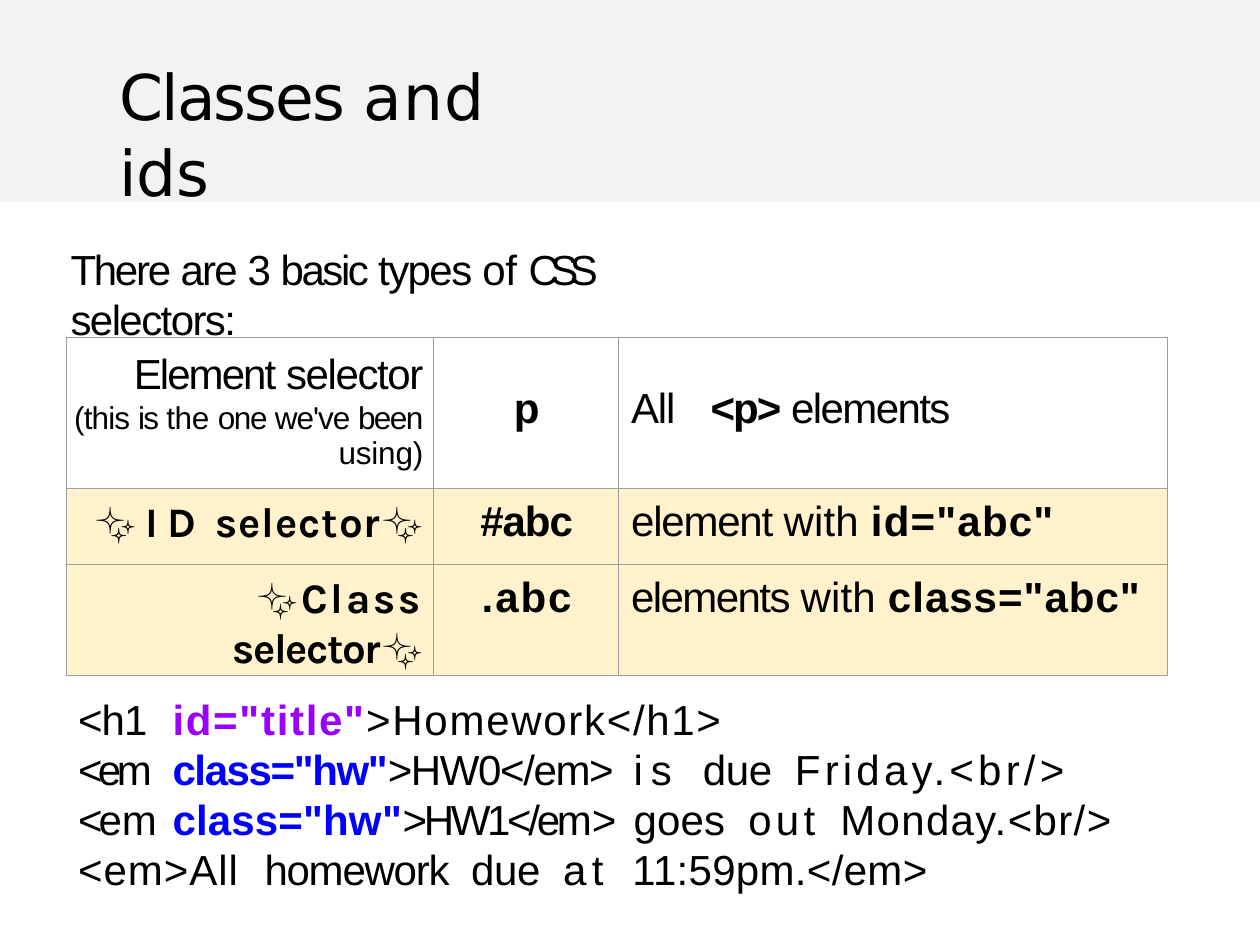
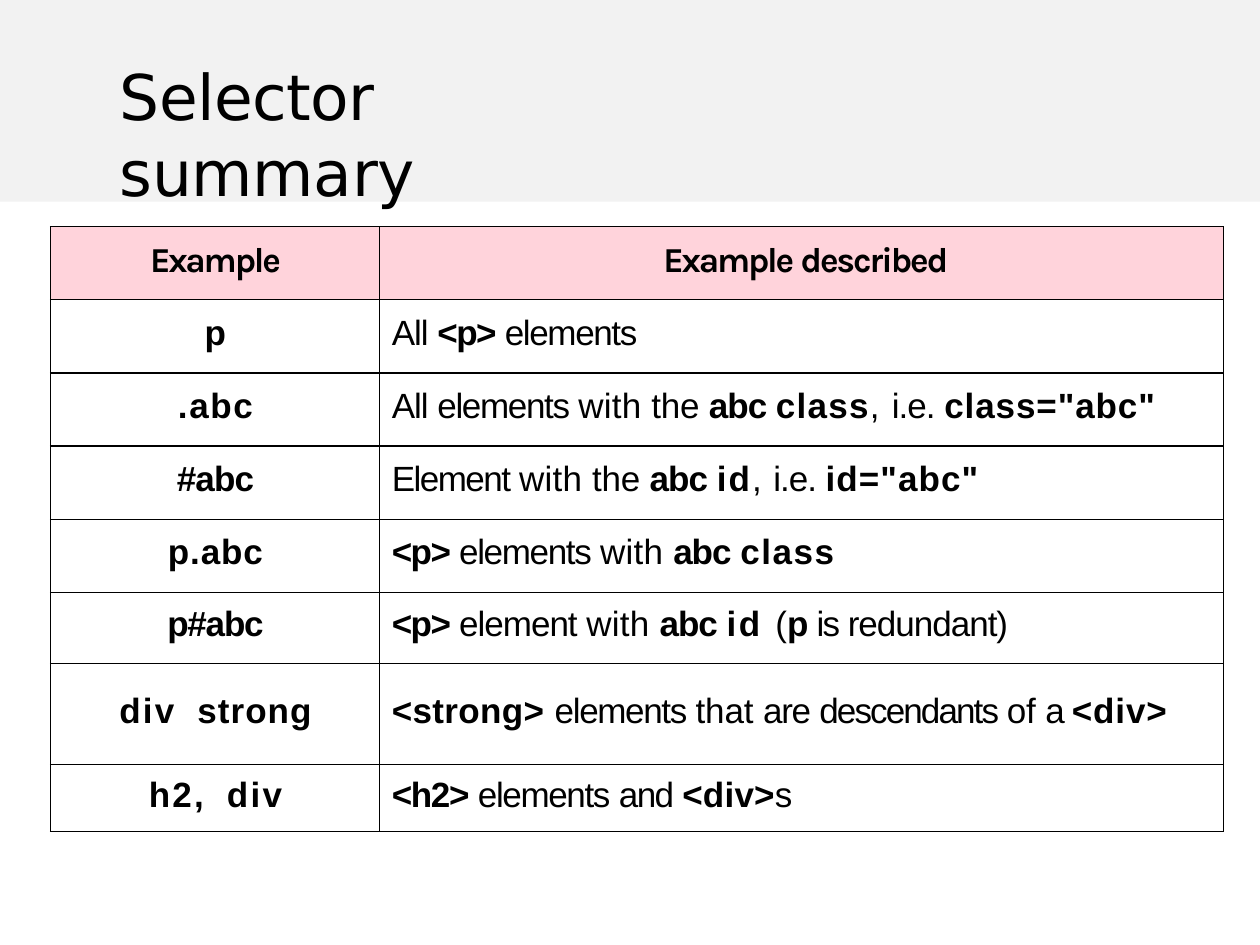
from lxml import etree
from pptx import Presentation
from pptx import util as u
from pptx.dml import color
from pptx.enum import shapes, text
from pptx.oxml import ns

HEX = {"ink": "000000", "band": "F2F2F2", "grid": "9E9E9E", "cream": "FFF2CC",
       "pink": "FFC1CC", "purple": "9900FF", "blue": "0000FF"}
HEAD, BODY, LABEL = "DejaVu Sans", "Arial", "Karla"
LEFT, MID, RIGHT = text.PP_ALIGN.LEFT, text.PP_ALIGN.CENTER, text.PP_ALIGN.RIGHT


def rgb(name):
    return color.RGBColor.from_string(HEX[name])


def sub(parent, tag, **attrs):
    return etree.SubElement(parent, ns.qn(tag), attrs)


def para(runs, size=24, face=BODY, align=LEFT, ind=0.01, lead=None, tabs=()):
    """Describe one paragraph; runs are (text, spacing, extras), * marks bold."""
    return dict(runs=runs, size=size, face=face, align=align, ind=ind,
                lead=lead, tabs=tabs)


def write(frame, paras):
    frame.word_wrap = True
    for i, item in enumerate(paras):
        par = frame.add_paragraph() if i else frame.paragraphs[0]
        par.alignment = item["align"]
        if item["lead"]:
            par.line_spacing = u.Pt(item["lead"])
        props = par._p.get_or_add_pPr()
        props.set("marL", str(u.Inches(item["ind"])))
        if item["align"] == RIGHT:
            props.set("marR", str(u.Inches(0.08)))
        if item["tabs"]:
            stops = sub(props, "a:tabLst")
            for pos in item["tabs"]:
                sub(stops, "a:tab", pos=str(u.Inches(pos)), algn="l")
        par.font.size = u.Pt(item["size"])
        par.font.name = item["face"]
        par.font.color.rgb = rgb("ink")
        for words, space, *more in item["runs"]:
            look = more[0] if more else {}
            run = par.add_run()
            run.text = words.removeprefix("*")
            run.font.bold = words.startswith("*")
            if "face" in look:
                run.font.name = look["face"]
            if "ink" in look:
                run.font.color.rgb = rgb(look["ink"])
            run._r.get_or_add_rPr().set("spc", str(round(space * 100)))


def inset(item, top):
    item.margin_left = item.margin_right = item.margin_bottom = 0
    item.margin_top = u.Inches(top)


def label(slide, box, paras):
    frame = slide.shapes.add_textbox(*map(u.Inches, box)).text_frame
    inset(frame, 0.01)
    write(frame, paras)


def header(slide, width, runs):
    band = slide.shapes.add_shape(shapes.MSO_SHAPE.RECTANGLE, 0, 0,
                                  u.Inches(10), u.Inches(1.6))
    band.shadow.inherit = False
    band.fill.solid()
    band.fill.fore_color.rgb = rgb("band")
    band.line.fill.background()
    label(slide, (0.94, 0.45, width, 0.63), [para(runs, 36, HEAD)])


def style(cell, top, edge, fill=None, alpha=None):
    inset(cell, top)
    props = cell._tc.get_or_add_tcPr()
    for side in "LRTB":
        line = sub(props, f"a:ln{side}", w=str(u.Pt(0.75)))
        sub(sub(line, "a:solidFill"), "a:srgbClr", val=HEX[edge])
    if not fill:
        cell.fill.background()
        return
    cell.fill.solid()
    cell.fill.fore_color.rgb = rgb(fill)
    if alpha:
        sub(props.find(".//" + ns.qn("a:srgbClr") + "[@val='" + HEX[fill] + "']"),
            "a:alpha", val=str(alpha * 1000))


def grid(slide, left, top, cols, rows):
    """Add a plain table with the given column widths and row heights."""
    box = map(u.Inches, (left, top, sum(cols), sum(rows)))
    table = slide.shapes.add_table(len(rows), len(cols), *box).table
    table.first_row = table.horz_banding = False
    for col, width in zip(table.columns, cols):
        col.width = u.Inches(width)
    for row, high in zip(table.rows, rows):
        row.height = u.Inches(high)
    return table


def kinds(slide, left, top):
    """Table of the three selector types."""
    star = dict(face=HEAD)
    first = [
        para([("Element ", -1.1), ("selector", -0.8)], align=RIGHT, lead=28.8),
        para([("(this ", -0.5), ("is ", -0.9), ("the ", -0.2), ("one ", -0.8),
              ("we've ", -0.6), ("been", -0.9)], 18, align=RIGHT, lead=21.6),
        para([("using)", -0.1)], 18, align=RIGHT)]
    rows = [
        (first, ("*p", 0), [("All\t", -0.7), ("*<p> ", -1.1), ("elements", -0.9)]),
        ([para([("✨", 5.1, star), ("*ID", 5.1), ("* ", 0), ("*selector", 0.5),
                ("✨", 0.5, star)], face=LABEL, align=RIGHT)],
         ("*#abc", -0.6),
         [("element ", -0.7), ("with ", 0.1), ('*id="abc"', 0.7)]),
        ([para([("✨", 1.6, star), ("*Class ", 1.6), ("*selector", -0.8),
                ("✨", -0.8, star)], face=LABEL, align=RIGHT)],
         ("*.abc", 1.1),
         [("elements ", -0.9), ("with ", 0.1), ('*class="abc"', 0.6)])]
    table = grid(slide, left, top, (2.91, 1.47, 4.36), (1.2, 0.6, 0.6))
    for r, (name, sample, means) in enumerate(rows):
        cells = (name, [para([sample], align=MID)],
                 [para(means, ind=0.1, tabs=() if r else (0.63,))])
        for c, paras in enumerate(cells):
            cell = table.cell(r, c)
            style(cell, 0.38 if r == 0 and c else 0.08, "grid", "cream" if r else None)
            write(cell.text_frame, paras)


def code(slide, box):
    blue = dict(ink="blue")
    lines = [
        ((0.75,), [("<h1\t", -0.5), ('*id="title"', 1, dict(ink="purple")),
                   (">Homework</h1>", 1)]),
        ((0.75, 4.41, 4.96, 5.69),
         [("<em\t", -2.6), ('*class="hw"', -0.8, blue), (">HW0</em>\t", -0.8),
          ("is\t", 4.5), ("due\t", -0.2), ("Friday.<br/>", 2.4)]),
        ((0.75, 4.41, 5.32, 6.05),
         [("<e", -2.3), ("m\t", -3.3), ('*class="hw', 0.1, blue), ('*"', 0.3, blue),
          (">HW1</em", -1.9), (">\t", -1.8), ("goes\t", 0.1), ("ou", 2.4),
          ("t\t", 1.2), ("Monday.<br/>", 0.8)]),
        ((1.48, 3.12, 3.85, 4.4),
         [("<em>All\t", 0.6), ("homework\t", -0.7), ("due\t", -0.2), ("at\t", 3.1),
          ("11:59pm.</em>", 0.2)])]
    label(slide, box, [para(runs, lead=28.5, tabs=tabs) for tabs, runs in lines])


def recap(slide, left, top):
    """Table of selector examples; each row is height, top inset, code, meaning."""
    rows = [
        (0.58, 0.11, [("*Example", -1.3)], [("*Example ", -1.3), ("*described", -1.2)]),
        (0.58, 0.11, [("*p", 0)], [("All ", -0.6), ("*<p> ", -0.9), ("elements", -0.8)]),
        (0.58, 0.11, [("*.abc", 0.9)],
         [("All ", -0.6), ("elements ", -0.8), ("with ", 0.1), ("the ", -0.2),
          ("*abc ", -0.6), ("*class", 0.7), (", ", 0.7), ("i.e. ", -0.6),
          ('*class="abc"', 0.5)]),
        (0.58, 0.11, [("*#abc", -0.5)],
         [("Element ", -0.9), ("with ", 0.1), ("the ", -0.2), ("*abc ", -0.6),
          ("*id", 1.2), (", ", 0.5), ("i.e. ", -0.6), ('*id="abc"', 0.6)]),
        (0.58, 0.11, [("*p.abc", 0.5)],
         [("*<p> ", -0.9), ("elements ", -0.8), ("with ", 0.1), ("*abc ", -0.6),
          ("*class", 0.9)]),
        (0.57, 0.1, [("*p#abc", -0.7)],
         [("*<p> ", -0.9), ("element ", -0.6), ("with ", 0.1), ("*abc ", -0.6),
          ("*id ", 1.5), ("(", -0.9), ("*p ", -0.9), ("is ", -1.1), ("redundant)", -0.6)]),
        (0.8, 0.22, [("*div\t", 1.3), ("*strong", 0.6)],
         [("*<strong> ", 0.2), ("elements ", -0.8), ("that ", -0.1), ("are ", -0.8),
          ("descendants ", -1.1), ("of ", -0.1), ("a ", -1.6), ("*<div>", 0.5)]),
        (0.53, 0.09, [("*h2,\tdiv", 1.3)],
         [("*<h2> ", -0.8), ("elements ", -0.8), ("and ", -0.9), ("*<div>", 0.1),
          ("s", 0.1)])]
    table = grid(slide, left, top, (2.61, 6.7), [row[0] for row in rows])
    for r, (_, pad, sample, means) in enumerate(rows):
        face, fill, alpha = (BODY, None, None) if r else (LABEL, "pink", 70)
        tabs = (0.62,) if "\t" in sample[0][0] else ()
        cells = (para(sample, 20, face, MID, tabs=tabs),
                 para(means, 20, face, LEFT if r else MID, 0.1 if r else 0.07))
        for c, item in enumerate(cells):
            style(table.cell(r, c), pad, "ink", fill, alpha)
            write(table.cell(r, c).text_frame, [item])


def main():
    deck = Presentation()
    deck.slide_width, deck.slide_height = u.Inches(10), u.Inches(7.5)
    blank = deck.slide_layouts[6]

    slide = deck.slides.add_slide(blank)
    header(slide, 3.72, [("Classes ", -1.1), ("and ", 0.8), ("ids", -0.1)])
    label(slide, (0.55, 1.92, 5.42, 0.43), [para([
        ("There ", -1.3), ("are ", -1), ("3 ", -1.2), ("basic ", -1.4), ("types ", -0.9),
        ("of ", -0.1), ("CSS ", -4.9), ("selectors:", -0.9)])])
    kinds(slide, 0.53, 2.68)
    code(slide, (0.61, 5.5, 8.26, 1.62))

    slide = deck.slides.add_slide(blank)
    header(slide, 4.52, [("Selector ", -0.3), ("summary", -0.2)])
    recap(slide, 0.4, 1.8)
    deck.save("out.pptx")


if __name__ == "__main__":
    main()
